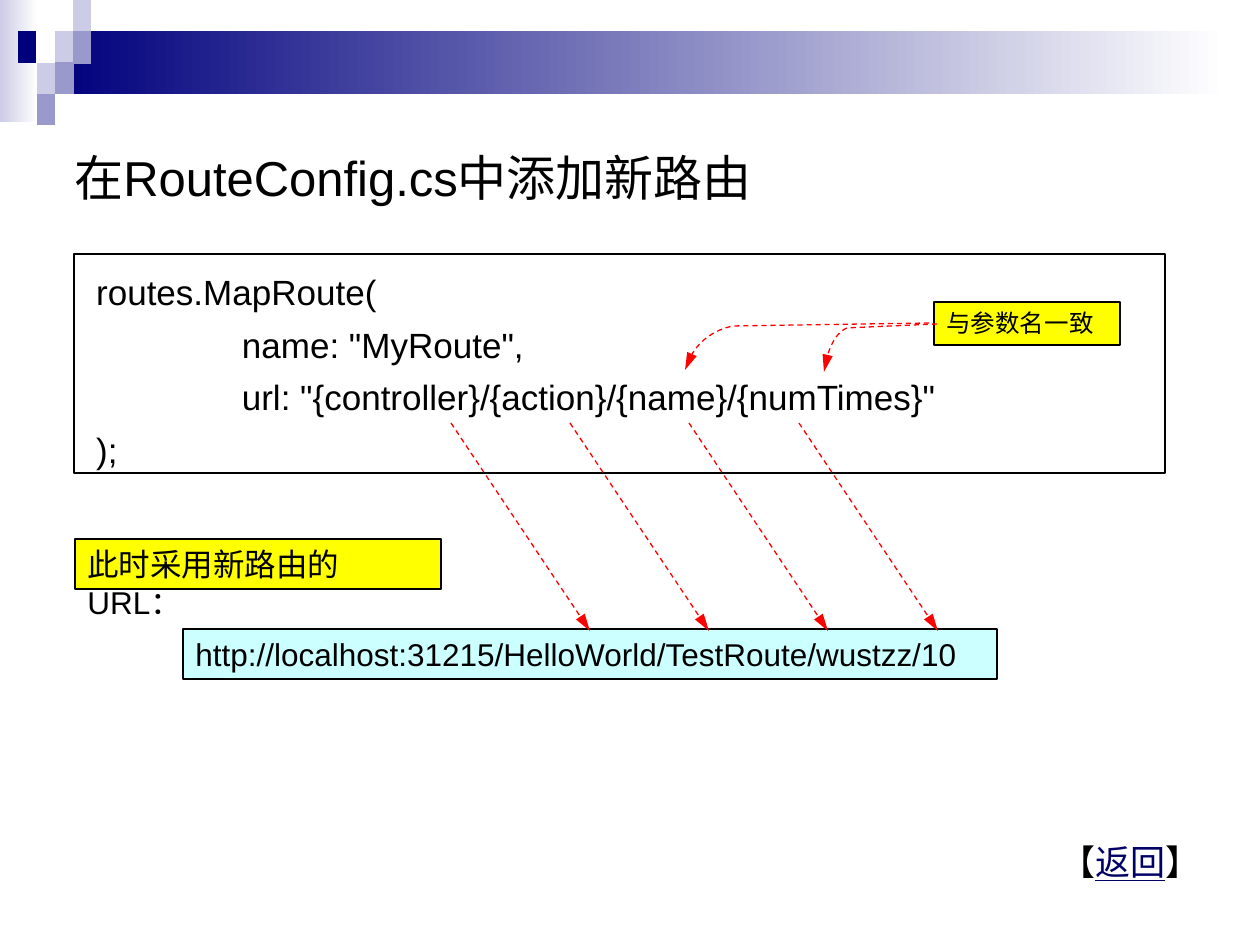
from lxml.etree import SubElement
from pptx import Presentation
from pptx.dml.color import RGBColor
from pptx.enum.dml import MSO_LINE
from pptx.enum.shapes import MSO_CONNECTOR, MSO_SHAPE
from pptx.enum.text import MSO_ANCHOR, PP_ALIGN
from pptx.oxml.ns import qn
from pptx.util import Pt

PX = 914400 / 126
COLORS = {
    "navy": "00007D", "lilac": "CCCCE6", "violet": "9999CC", "white": "FFFFFF",
    "black": "000000", "red": "FF0000", "yellow": "FFFF00", "cyan": "CCFFFF",
    "link": "000066",
}


def rgb(name):
    return RGBColor.from_string(COLORS[name])


def style_arrow(sp):
    """Give a line a thin dashed red stroke, an end arrowhead and no shadow."""
    for key, value in {"width": Pt(0.75), "dash_style": MSO_LINE.DASH}.items():
        setattr(sp.line, key, value)
    sp.line.color.rgb = rgb("red")
    SubElement(sp.line._get_or_add_ln(), qn("a:tailEnd"), type="triangle", w="med", len="lg")
    if sp._element.spPr.find(qn("a:effectLst")) is None:
        SubElement(sp._element.spPr, qn("a:effectLst"))


prs = Presentation()
prs.slide_width, prs.slide_height = round(1260 * PX), round(945 * PX)
s = prs.slides.add_slide(prs.slide_layouts[6])

# Header bands and squares: left, top, width, height, fill colours
header = [
    (0, 0, 38, 122, ["lilac", "white"]),
    (55, 31, 1171, 63, ["navy", "white"]),
    (55, 31, 19, 33, ["lilac"]),
    (73, 0, 18, 31, ["lilac"]),
    (73, 31, 18, 33, ["violet"]),
    (37, 63, 18, 31, ["lilac"]),
    (18, 31, 18, 32, ["navy"]),
    (55, 62, 19, 32, ["violet"]),
    (37, 94, 18, 31, ["violet"]),
]
for *box, fills in header:
    sp = s.shapes.add_shape(MSO_SHAPE.RECTANGLE, *[round(v * PX) for v in box])
    sp.shadow.inherit = False
    sp.line.fill.background()
    if len(fills) == 1:
        sp.fill.solid()
        sp.fill.fore_color.rgb = rgb(fills[0])
    else:
        sp.fill.gradient()
        sp.fill.gradient_angle = 0
        for position, (stop, name) in enumerate(zip(sp.fill.gradient_stops, fills)):
            stop.position = position
            stop.color.rgb = rgb(name)

# Framed boxes: left, top, width, height, fill, size, line spacing, lines
code = [
    " routes.MapRoute(",
    '                name: "MyRoute",',
    '                url: "{controller}/{action}/{name}/{numTimes}"',
    " );",
]
url = "http://localhost:31215/HelloWorld/TestRoute/wustzz/10"
boxes = [
    (74, 254, 1091, 219, None, 20, 1.25, code),
    (183, 629, 814, 50, "cyan", 18, 1.0, [url]),
    (75, 539, 366, 50, "yellow", 18, 1.0, ["此时采用新路由的URL："]),
    (934, 302, 186, 43, "yellow", 14, 1.0, ["与参数名一致"]),
]
for *box, fill, size, spacing, lines in boxes:
    sp = s.shapes.add_shape(MSO_SHAPE.RECTANGLE, *[round(v * PX) for v in box])
    sp.shadow.inherit = False
    if fill:
        sp.fill.solid()
        sp.fill.fore_color.rgb = rgb(fill)
    else:
        sp.fill.background()
    sp.line.color.rgb = rgb("black")
    sp.line.width = Pt(0.75)
    tf = sp.text_frame
    tf.word_wrap = True
    tf.vertical_anchor = MSO_ANCHOR.TOP
    for i, line in enumerate(lines):
        p = tf.paragraphs[0] if i == 0 else tf.add_paragraph()
        p.alignment = PP_ALIGN.LEFT
        p.line_spacing = spacing
        r = p.add_run()
        r.text = line
        for key, value in {"size": Pt(size), "name": "Arial"}.items():
            setattr(r.font, key, value)
        r.font.color.rgb = rgb("black")

# Title and return label: left, top, width, height, wrap, anchor, size, font, runs
labels = [
    (62, 132, 1134, 90, True, MSO_ANCHOR.MIDDLE, 28, "Arial",
     [("在RouteConfig.cs中添加新路由", "black", False)]),
    (1048, 834, 166, 55, False, MSO_ANCHOR.TOP, 20, "Noto Sans CJK SC",
     [("【", "black", False), ("返回", "link", True), ("】", "black", False)]),
]
for *box, wrap, anchor, size, font, runs in labels:
    tf = s.shapes.add_textbox(*[round(v * PX) for v in box]).text_frame
    tf.word_wrap = wrap
    tf.vertical_anchor = anchor
    for text, color, underline in runs:
        r = tf.paragraphs[0].add_run()
        r.text = text
        for key, value in {"size": Pt(size), "name": font, "underline": underline}.items():
            setattr(r.font, key, value)
        r.font.color.rgb = rgb(color)

# Each route segment points at its part of the URL
for x in (451, 570, 689, 799):
    ends = [round(v * PX) for v in (x, 423, x + 139, 631)]
    style_arrow(s.shapes.add_connector(MSO_CONNECTOR.STRAIGHT, *ends))

# Bent arrows from the note: a straight run, then a cubic curve down to the tip
STEPS = 16
bends = [
    ((929, 323), [(733, 326), (693, 334), (685, 370), (685, 370)]),
    ((937, 324), [(847, 328), (828, 336), (824, 372), (824, 372)]),
]
for start, curve in bends:
    points = []
    for i in range(STEPS + 1):
        t = i / STEPS
        weights = ((1 - t) ** 3, 3 * t * (1 - t) ** 2, 3 * t * t * (1 - t), t ** 3)
        points.append([sum(w * c[axis] for w, c in zip(weights, curve)) for axis in (0, 1)])
    fb = s.shapes.build_freeform(*[round(v * PX) for v in start])
    fb.add_line_segments([(round(x * PX), round(y * PX)) for x, y in points], close=False)
    sp = fb.convert_to_shape()
    sp.fill.background()
    style_arrow(sp)

prs.save("out.pptx")
